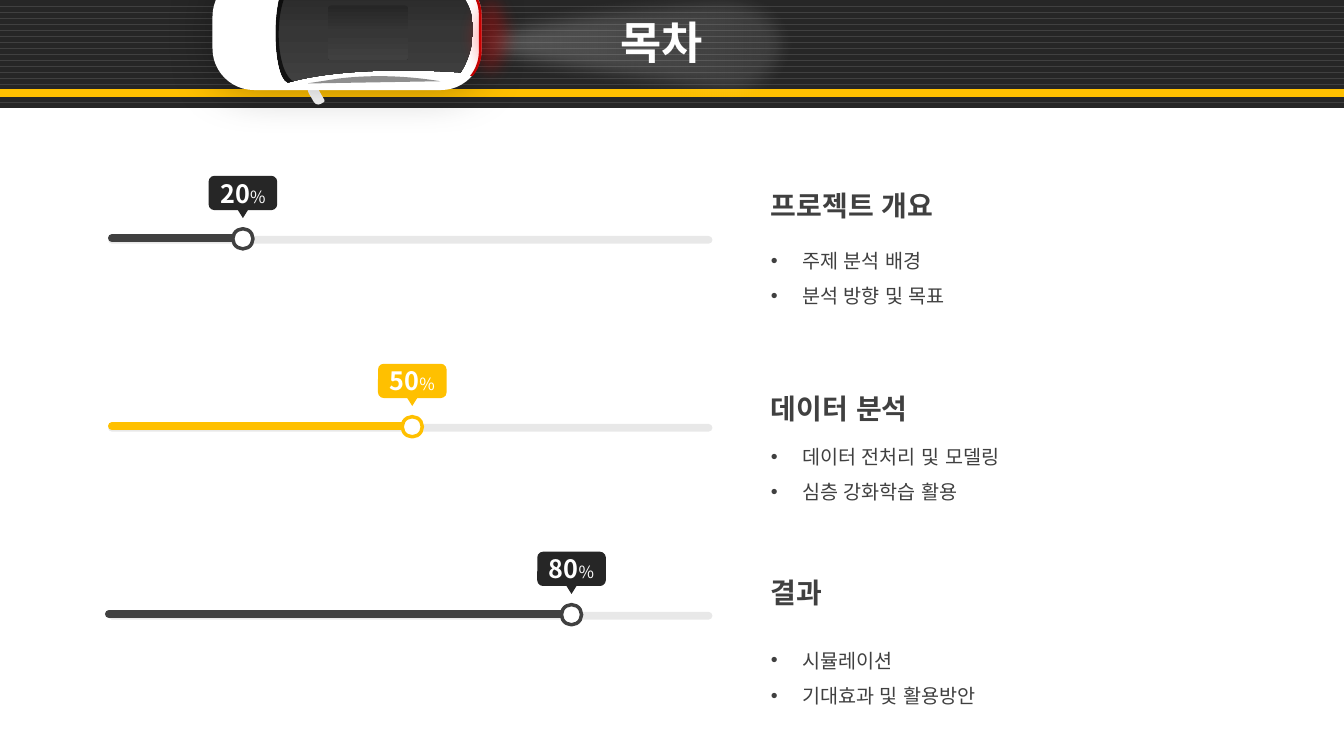
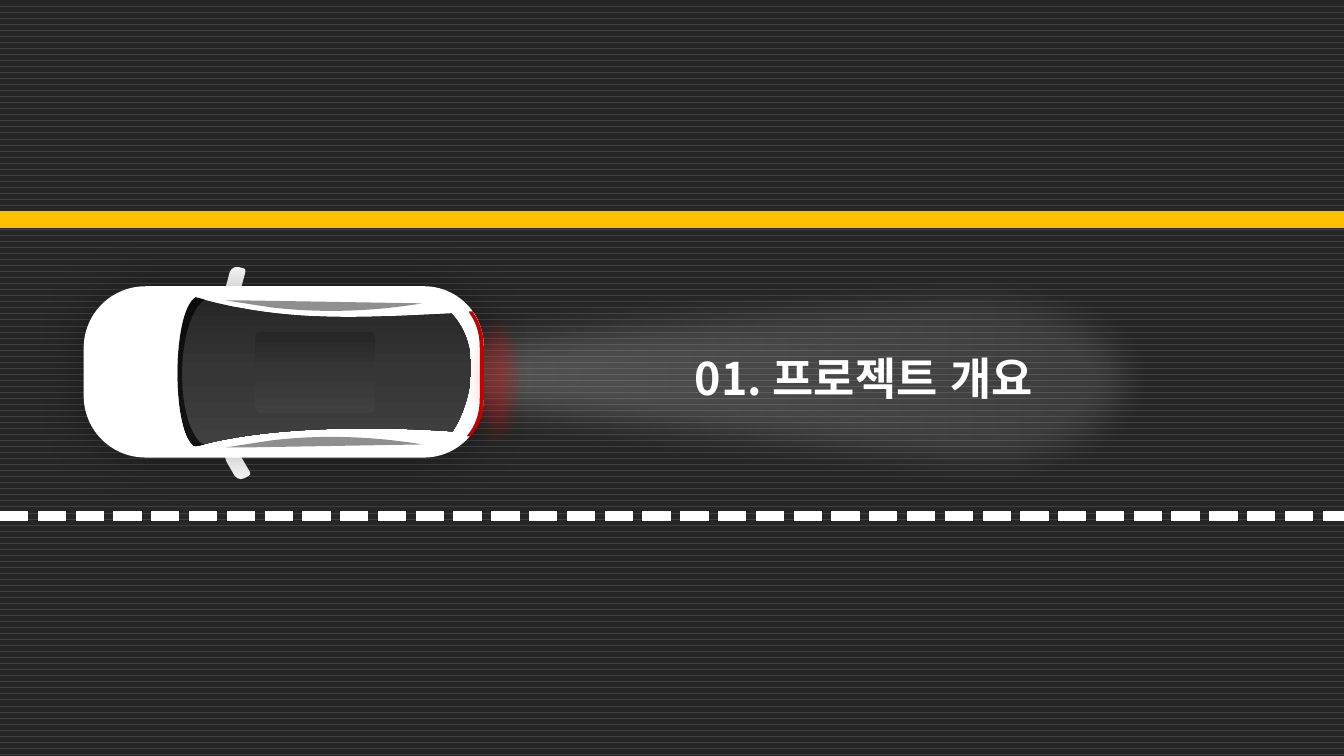
import copy
import dataclasses
import math

import lxml.etree
import pptx
import pptx.dml.color
import pptx.enum.dml
import pptx.enum.lang
import pptx.enum.shapes
import pptx.enum.text
import pptx.oxml
import pptx.oxml.ns
import pptx.util

SHAPE = pptx.enum.shapes.MSO_SHAPE
CENTER = pptx.enum.text.PP_ALIGN.CENTER
FIT = pptx.enum.text.MSO_AUTO_SIZE.SHAPE_TO_FIT_TEXT
rgb = pptx.dml.color.RGBColor.from_string
qn = pptx.oxml.ns.qn


@dataclasses.dataclass(frozen=True)
class Theme:
    font: str = "Noto Sans CJK KR"
    asphalt: str = "262626"
    tint: str = "363636"
    grey: str = "404040"
    yellow: str = "FFC000"
    white: str = "FFFFFF"
    black: str = "000000"
    lamp: str = "C00000"
    glow: str = "FF0000"
    title: int = 32
    heading: int = 20
    value: int = 18
    body: int = 14
    unit: int = 12


theme = Theme()
deck = pptx.Presentation()
deck.slide_width = pptx.util.Inches(13.33)
deck.slide_height = pptx.util.Inches(7.5)
CELL = deck.slide_width / 80  # the slide is a grid of 80 columns by 45 rows


def paint(shape, *stops, angle=0, effect=None):
    """Fill with one colour or an even gradient; a stop is (colour, opacity %)."""
    properties = shape.element.spPr
    if len(stops) == 1:
        shape.fill.solid()
        shape.fill.fore_color.rgb = rgb(stops[0][0])
    else:
        shape.fill.gradient()
        shape.fill.gradient_angle = angle
        ramp = next(properties.iter(qn("a:gsLst")))
        while len(ramp) < len(stops):
            ramp.append(copy.deepcopy(ramp[-1]))
        for i, stop in enumerate(shape.fill.gradient_stops):
            stop.position = i / (len(stops) - 1)
            stop.color.rgb = rgb(stops[i][0])
    for colour, (_, opacity) in zip(properties.iter(qn("a:srgbClr")), stops):
        if opacity < 100:
            lxml.etree.SubElement(colour, qn("a:alpha")).set("val", str(opacity * 1000))
    shape.line.fill.background()
    shape.shadow.inherit = False
    if effect is not None:
        properties.find(qn("a:effectLst")).append(pptx.oxml.parse_xml(effect))


def write(paragraph, text, size, colour, bold=True):
    run = paragraph.add_run()
    run.text = text
    run.font.name = theme.font
    run.font.size = pptx.util.Pt(size)
    run.font.bold = bold
    run.font.color.rgb = rgb(colour)
    run.font.language_id = pptx.enum.lang.MSO_LANGUAGE_ID.KOREAN
    east_asian = lxml.etree.SubElement(run.font._element, qn("a:ea"))
    east_asian.set("typeface", theme.font)


NAMESPACE = pptx.oxml.ns.nsdecls("a")
SOFT_EDGE = f'<a:softEdge {NAMESPACE} rad="%d"/>'
CAR_SHADOW = (f'<a:outerShdw {NAMESPACE} blurRad="{pptx.util.Pt(34)}" dist="0" '
              f'rotWithShape="0"><a:srgbClr val="{theme.black}">'
              '<a:alpha val="30000"/></a:srgbClr></a:outerShdw>')

# Outlines: a pair is a straight step, six numbers are a Bezier step.
# The car is drafted on 397 by 170 units, the beam on 876 by 220 from its source.
CAR_LENGTH, CAR_WIDTH = 397, 170
BEAM_LENGTH, BEAM_WIDTH = 876, 220
outlines = {
    "beam": [(0, 0), (0, -50, 177, -71, 438, -91), (698, -110, 870, -134, 876, 0),
             (865, 147, 709, 122, 438, 91), (166, 61, 0, 51, 0, 0)],
    "cabin": [(111, 159), (88, 148, 88, 26, 111, 11), (201, 37, 279, 31, 365, 27),
              (396, 60, 385, 115, 366, 144), (296, 139, 183, 138, 111, 159)],
    "upper window": [(140, 14), (153, 14), (336, 17), (288, 25, 236, 27, 186, 21)],
    "lower window": [(141, 160), (186, 153), (236, 147, 288, 149, 336, 157), (160, 160)],
    "lamp": [(380, 149), (383, 145), (390, 135, 393, 124, 393, 111), (393, 61),
             (393, 48, 390, 37, 383, 27), (382, 25), (386, 25), (387, 27),
             (394, 37, 397, 48, 397, 61), (397, 111),
             (397, 124, 394, 135, 387, 145), (384, 149)],
    "rear glass": [(93, 86), (93, 53, 99, 18, 111, 11), (120, 13), (118, 15),
                   (91, 39, 91, 135, 117, 156), (120, 157), (111, 159),
                   (99, 154, 93, 120, 93, 86)],
}
extents = {}
for part, steps in outlines.items():
    points = [steps[0]]
    for step in steps[1:]:
        controls = [points[-1], step[:2], step[2:4], step[4:]]
        if len(step) == 6:
            for t in (n / 20 for n in range(1, 20)):
                weights = [math.comb(3, i) * t**i * (1 - t)**(3 - i) for i in range(4)]
                points.append(tuple(sum(w * c[axis] for w, c in zip(weights, controls))
                                    for axis in (0, 1)))
        points.append(step[-2:])
    extents[part] = [round(pick(axis)) for pick in (min, max) for axis in zip(*points)]

# preset, centre x, centre y, width, height, rotation, corner shares
presets = {
    "upper mirror": (SHAPE.ROUND_2_SAME_RECTANGLE, 150, -4, 31, 15, 285, (0.5, 0.18)),
    "lower mirror": (SHAPE.ROUND_2_SAME_RECTANGLE, 152, 177, 31, 15, 240, (0.5, 0.18)),
    "body": (SHAPE.ROUND_2_SAME_RECTANGLE, 198.5, 85, CAR_WIDTH, CAR_LENGTH, 270,
             (0.36, 0.35)),
    "sunroof": (SHAPE.ROUNDED_RECTANGLE, 229.5, 85.5, 81, 119, 270, (0.07,)),
}
SHELL = ((theme.white, 100),)
GLASS = ((theme.asphalt, 100), (theme.tint, 100), (theme.grey, 100))
WINDOW = ((theme.black, 44),)
layers = {"beam": ((theme.white, 24), (theme.white, 9)),
          "upper mirror": SHELL, "lower mirror": SHELL, "body": SHELL,
          "cabin": GLASS, "upper window": WINDOW, "lower window": WINDOW,
          "lamp": ((theme.lamp, 100),), "rear glass": ((theme.black, 69),),
          "sunroof": GLASS}

contents, section = [deck.slides.add_slide(deck.slide_layouts[6]) for _ in range(2)]
band = contents.shapes.add_shape(SHAPE.RECTANGLE, 0, 0, deck.slide_width, int(6.42 * CELL))
paint(band, (theme.asphalt, 100))
for road in (band.fill, section.background.fill):
    road.patterned()
    road.pattern = pptx.enum.dml.MSO_PATTERN.DASHED_HORIZONTAL
    road.fore_color.rgb = rgb(theme.grey)
    road.back_color.rgb = rgb(theme.asphalt)

# percent, bar start, knob centre, bar and knob colour, label colour,
# text top and height, gap under the heading in points, heading, items
chapters = [
    ("20", 6.66, 14.46, theme.grey, theme.asphalt, 9.9, 8.82, 11,
     "프로젝트 개요", ["주제 분석 배경", "분석 방향 및 목표"]),
    ("50", 6.66, 24.54, theme.yellow, theme.yellow, 22.02, 8.1, 5.4,
     "데이터 분석", ["데이터 전처리 및 모델링", "심층 강화학습 활용"]),
    ("80", 6.48, 34.02, theme.grey, theme.asphalt, 32.96, 9.3, 19.8,
     "결과", ["시뮬레이션", "기대효과 및 활용방안"]),
]
FIRST_TRACK, TRACK_PITCH, KNOB = 14.28, 11.19, 1.2

# slide, left, right, y, colour, opacity, width, cap
lines = [(contents, 0, 80, 5.52, theme.yellow, 100, 5.75, "flat"),
         (section, 0, 80, 30.72, theme.white, 100, 6.75, "flat"),
         (section, 0, 80, 13.08, theme.yellow, 100, 11.75, "flat")]
for row, (_, start, knob_x, colour, *_) in enumerate(chapters):
    track_y = FIRST_TRACK + row * TRACK_PITCH
    lines += [(contents, 6.66, 42.18, track_y, theme.asphalt, 10, 5.5, "rnd"),
              (contents, start, knob_x - KNOB / 2, track_y - 0.1, colour, 100, 5.5, "rnd")]
for slide, left, right, y, colour, opacity, width, cap in lines:
    stripe = slide.shapes.add_connector(
        pptx.enum.shapes.MSO_CONNECTOR.STRAIGHT,
        *(int(n * CELL) for n in (left, y, right, y)))
    stripe.line.width = pptx.util.Pt(width)
    stripe.line.color.rgb = rgb(colour)
    if colour == theme.white:
        stripe.line.dash_style = pptx.enum.dml.MSO_LINE.SQUARE_DOT
    properties = stripe.element.spPr
    properties.find(qn("a:ln")).set("cap", cap)
    if opacity < 100:
        ink = next(properties.iter(qn("a:srgbClr")))
        lxml.etree.SubElement(ink, qn("a:alpha")).set("val", str(opacity * 1000))
    lxml.etree.SubElement(properties, qn("a:effectLst"))

# slide, title, title box, line spacing, car (left, top, length),
# beam (left, middle, length, width), beam softness, glow box
scenes = [
    (contents, "목차", (24.72, 0.6, 28.8, 3.84), 1, (12.65, -1.5, 16.02),
     (27.12, 2.58, 20.58, 7.2), 12.5, (27.06, -1.62, 4.26, 7.56)),
    (section, "01. 프로젝트 개요", (33.36, 18.96, 35.58, 4.86), 1.5, (4.98, 17.04, 23.82),
     (16.92, 22.38, 52.56, 13.2), 25, (27.6, 17.46, 3.96, 10.38)),
]
for slide, title, title_box, spacing, car, beam, softness, glow_box in scenes:
    frame = slide.shapes.add_textbox(*(int(n * CELL) for n in title_box)).text_frame
    frame.word_wrap = True
    frame.auto_size = FIT
    paragraph = frame.paragraphs[0]
    paragraph.alignment = CENTER
    paragraph.line_spacing = spacing
    paragraph._p.get_or_add_pPr().set("marL", str(pptx.util.Inches(0.09)))
    write(paragraph, title, theme.title, theme.white)

    car_x, car_y, car_length = (n * CELL for n in car)
    beam_x, beam_y, beam_length, beam_width = (n * CELL for n in beam)
    unit = car_length / CAR_LENGTH
    effects = {"beam": SOFT_EDGE % pptx.util.Pt(softness), "body": CAR_SHADOW}
    for part, stops in layers.items():
        turned = part != "beam"  # car parts stand upright and are turned to face right
        if part in presets:
            kind, x, y, width, height, rotation, corners = presets[part]
            bottom = y + height / 2
        else:
            left, top, right, bottom = extents[part]
            x, y, width, height = (left + right) / 2, (top + bottom) / 2, right - left, bottom - top
            rotation = 270 if turned else 0
            if turned:
                width, height = height, width
        if turned and car_y + bottom * unit < 0:
            continue
        origin_x, origin_y, unit_x, unit_y = (car_x, car_y, unit, unit) if turned else (
            beam_x, beam_y, beam_length / BEAM_LENGTH, beam_width / BEAM_WIDTH)
        corner = (int(origin_x + (x - width / 2) * unit_x),
                  int(origin_y + (y - height / 2) * unit_y))
        if part in presets:
            piece = slide.shapes.add_shape(kind, *corner, int(width * unit), int(height * unit))
            for i, share in enumerate(corners):
                piece.adjustments[i] = share
        else:
            builder = slide.shapes.build_freeform(0, 0, scale=(unit_x, unit_y))
            builder.add_line_segments([(width, 0), (width, height), (0, height)])
            piece = builder.convert_to_shape(*corner)
            contour = next(piece.element.spPr.iter(qn("a:path")))
            for straight in list(contour):
                contour.remove(straight)
            for i, step in enumerate(outlines[part]):
                tag = "a:moveTo" if i == 0 else "a:lnTo" if len(step) == 2 else "a:cubicBezTo"
                segment = lxml.etree.SubElement(contour, qn(tag))
                for px, py in zip(step[::2], step[1::2]):
                    local = (bottom - py, px - left) if turned else (px - left, py - top)
                    point = lxml.etree.SubElement(segment, qn("a:pt"))
                    point.set("x", str(local[0]))
                    point.set("y", str(local[1]))
            lxml.etree.SubElement(contour, qn("a:close"))
        piece.rotation = rotation
        paint(piece, *stops, angle=180 if turned else 0, effect=effects.get(part))
    glow = slide.shapes.add_shape(SHAPE.OVAL, *(int(n * CELL) for n in glow_box))
    paint(glow, (theme.glow, 30), effect=SOFT_EDGE % pptx.util.Pt(12.5))

for row, chapter in enumerate(chapters):
    (percent, _, knob_x, colour, label_colour,
     text_top, text_height, gap, heading, items) = chapter
    track_y = FIRST_TRACK + row * TRACK_PITCH
    marker = []
    for kind, top, width, height, fill in (
            (SHAPE.OVAL, -0.66, KNOB, KNOB, theme.white),
            (SHAPE.ISOSCELES_TRIANGLE, -2.25, 1.2, 0.96, label_colour),
            (SHAPE.ROUNDED_RECTANGLE, -3.81, 4.08, 2.04, label_colour)):
        piece = contents.shapes.add_shape(kind, *(int(n * CELL) for n in (
            knob_x - width / 2, track_y + top, width, height)))
        paint(piece, (fill, 100))
        marker.append(piece)
    knob, pointer, label = marker
    knob.line.color.rgb = rgb(colour)
    knob.line.width = pptx.util.Pt(2.5)
    pointer.element.spPr.find(qn("a:xfrm")).set("flipV", "1")
    label.text_frame.word_wrap = False
    label.text_frame.vertical_anchor = pptx.enum.text.MSO_ANCHOR.MIDDLE
    paragraph = label.text_frame.paragraphs[0]
    paragraph.alignment = CENTER
    write(paragraph, percent, theme.value, theme.white)
    write(paragraph, "%", theme.unit, theme.white, bold=False)

    frame = contents.shapes.add_textbox(
        *(int(n * CELL) for n in (45.3, text_top, 25.92, text_height))).text_frame
    frame.word_wrap = True
    frame.auto_size = FIT
    frame.paragraphs[0].line_spacing = 1.5
    write(frame.paragraphs[0], heading, theme.heading, theme.grey)
    for position, item in enumerate(items):
        paragraph = frame.add_paragraph()
        paragraph.line_spacing = 1.5
        if position == 0:
            paragraph.space_before = pptx.util.Pt(gap)
        indent = pptx.util.Inches(0.31)
        properties = paragraph._p.get_or_add_pPr()
        properties.set("marL", str(indent))
        properties.set("indent", str(-indent))
        lxml.etree.SubElement(properties, qn("a:buFont")).set("typeface", "Arial")
        lxml.etree.SubElement(properties, qn("a:buChar")).set("char", "•")
        write(paragraph, item, theme.body, theme.grey, bold=False)

deck.save("out.pptx")
